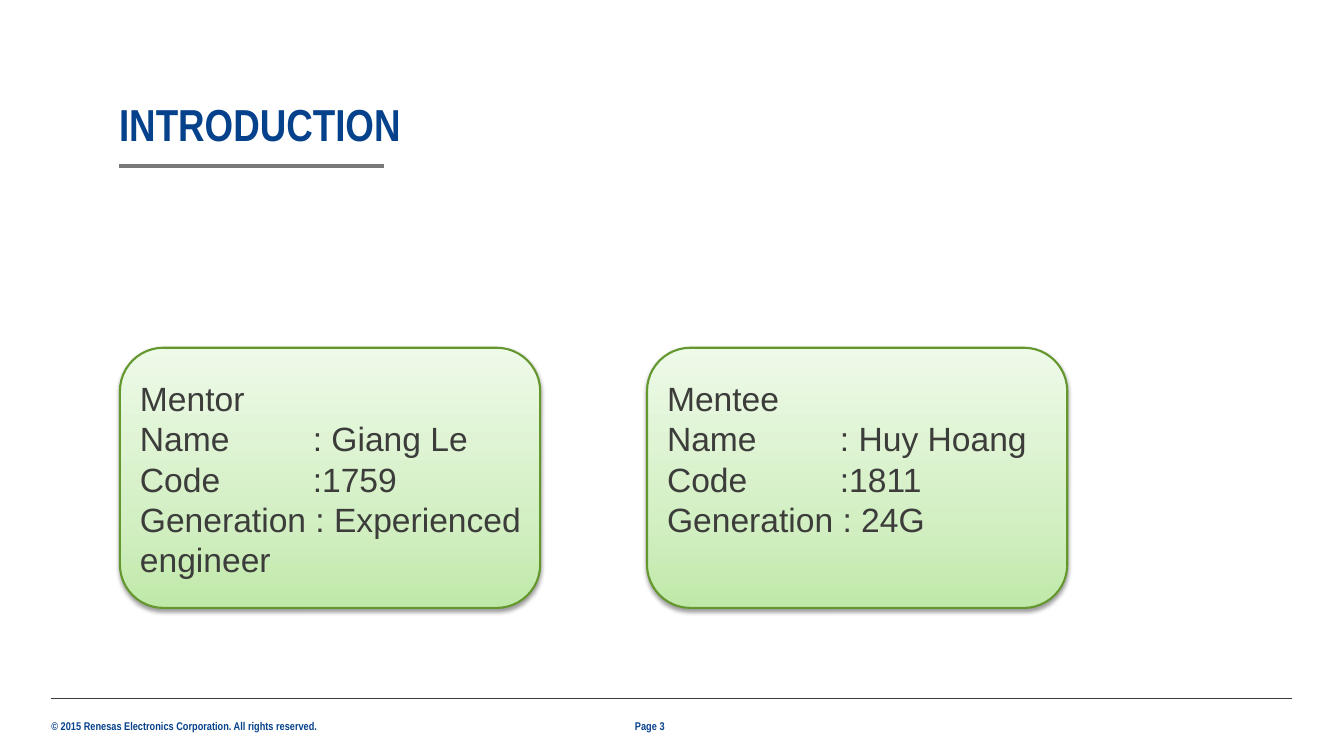
"""Build the introduction slide with its mentor and mentee cards."""
import copy
from dataclasses import dataclass

import lxml.etree
import pptx
import pptx.dml.color
import pptx.enum.shapes
import pptx.enum.text
import pptx.oxml
import pptx.oxml.ns
import pptx.util

Pt = pptx.util.Pt
qn = pptx.oxml.ns.qn
COLOURS = {
    "blue": "06418C", "text": "3C3C3B", "rule": "797979", "border": "64982F",
    "deep": "C0E9A9", "middle": "D3EFC4", "pale": "EEFAE8", "shadow": "000000",
}
GRADIENT = ((0, "deep"), (0.35, "middle"), (1, "pale"))
CARD_TOP, CARD_WIDTH, CARD_HEIGHT = 248.4, 300.2, 185.8
VALUE_TAB = 123.5


@dataclass
class Card:
    """A person's card with its lines of text."""
    left: float
    text_width: float
    text_height: float
    lines: tuple[str, ...]


@dataclass
class Rule:
    """A horizontal line."""
    left: float
    right: float
    top: float
    colour: str
    weight: float


@dataclass
class Footer:
    """A small text at the foot of the page."""
    left: float
    width: float
    text: str
    wrap: bool


CARDS = (
    Card(85.7, 293, 152.6, ("Mentor", "Name\t: Giang Le", "Code\t:1759",
                            "Generation : Experienced engineer")),
    Card(462.2, 280, 123.8, ("Mentee", "Name\t: Huy Hoang", "Code\t:1811",
                             "Generation : 24G")),
)
RULES = (Rule(36.7, 923, 499, "text", 0.5), Rule(85, 274.3, 118.8, "rule", 3))
FOOTERS = (
    Footer(36.7, 193, "© 2015 Renesas Electronics Corporation. All rights reserved.", False),
    Footer(453.6, 52.6, "Page 3", True),
)


def colour_of(name: str) -> pptx.dml.color.RGBColor:
    """Return the named colour."""
    return pptx.dml.color.RGBColor.from_string(COLOURS[name])


def write(frame, text: str, *, size: float, font: str, colour: str, bold: bool = False,
          margins: tuple[float, float] = (0, 0), wrap: bool = True, tab: float = 0,
          spacing: float = 1, anchor=pptx.enum.text.MSO_ANCHOR.TOP) -> None:
    """Fill a text frame with formatted left-aligned paragraphs."""
    frame.text = text
    frame.word_wrap = wrap
    frame.auto_size = pptx.enum.text.MSO_AUTO_SIZE.NONE
    frame.vertical_anchor = anchor
    frame.margin_left = frame.margin_right = Pt(margins[0])
    frame.margin_top = frame.margin_bottom = Pt(margins[1])
    for para in frame.paragraphs:
        para.alignment = pptx.enum.text.PP_ALIGN.LEFT
        para.line_spacing = spacing
        if tab:
            tabs = lxml.etree.SubElement(para._p.get_or_add_pPr(), qn("a:tabLst"))
            lxml.etree.SubElement(tabs, qn("a:tab"), pos=str(Pt(tab)), algn="l")
        for span in para.runs:
            span.font.size = Pt(size)
            span.font.name = font
            span.font.bold = bold
            span.font.color.rgb = colour_of(colour)


def draw_rule(page, rule: Rule) -> None:
    """Draw a horizontal rule."""
    line = page.shapes.add_connector(pptx.enum.shapes.MSO_CONNECTOR.STRAIGHT,
                                     Pt(rule.left), Pt(rule.top), Pt(rule.right), Pt(rule.top))
    line.line.color.rgb = colour_of(rule.colour)
    line.line.width = Pt(rule.weight)
    lxml.etree.SubElement(line.element.spPr, qn("a:effectLst"))


def add_shadow(box) -> None:
    """Give a shape a soft shadow below it."""
    box.shadow.inherit = False
    effects = box.element.spPr.find(qn("a:effectLst"))
    shadow = lxml.etree.SubElement(effects, qn("a:outerShdw"), blurRad=str(Pt(3.1)),
                                   dist=str(Pt(1.6)), dir="5400000", rotWithShape="0")
    tone = lxml.etree.SubElement(shadow, qn("a:srgbClr"), val=COLOURS["shadow"])
    lxml.etree.SubElement(tone, qn("a:alpha"), val="38000")


def draw_card(page, card: Card) -> None:
    """Draw a rounded card and its text."""
    box = page.shapes.add_shape(pptx.enum.shapes.MSO_SHAPE.ROUNDED_RECTANGLE, Pt(card.left),
                                Pt(CARD_TOP), Pt(CARD_WIDTH), Pt(CARD_HEIGHT))
    box.fill.gradient()
    box.fill.gradient_angle = 90
    stops = box.element.spPr.find(".//" + qn("a:gsLst"))
    stops.append(copy.deepcopy(stops[0]))
    for stop, (position, colour) in zip(box.fill.gradient_stops, GRADIENT):
        stop.position = position
        stop.color.rgb = colour_of(colour)
    box.line.color.rgb = colour_of("border")
    box.line.width = Pt(1.5)
    add_shadow(box)
    label = page.shapes.add_textbox(Pt(card.left + 7.2), Pt(CARD_TOP + 18),
                                    Pt(card.text_width), Pt(card.text_height))
    write(label.text_frame, "\n".join(card.lines), size=24, font="Arial", colour="text",
          margins=(7.2, 3.6), tab=VALUE_TAB)


def draw_footer(page, footer: Footer) -> None:
    """Draw a footer text."""
    box = page.shapes.add_textbox(Pt(footer.left), Pt(514), Pt(footer.width), Pt(9.4))
    write(box.text_frame, footer.text, size=8, font="Arial Narrow", colour="blue", bold=True,
          wrap=footer.wrap, anchor=pptx.enum.text.MSO_ANCHOR.MIDDLE)


def main() -> None:
    """Build and save the deck."""
    deck = pptx.Presentation()
    deck.slide_width, deck.slide_height = Pt(960), Pt(540)
    page = deck.slides.add_slide(deck.slide_layouts[5])
    for rule in RULES:
        draw_rule(page, rule)
    title = page.shapes.title
    title.left, title.top, title.width, title.height = Pt(85), Pt(73.4), Pt(708.5), Pt(34.6)
    write(title.text_frame, "INTRODUCTION", size=32, font="Arial Narrow", colour="blue",
          bold=True, spacing=0.9, anchor=pptx.enum.text.MSO_ANCHOR.BOTTOM)
    for footer in FOOTERS:
        draw_footer(page, footer)
    for card in CARDS:
        draw_card(page, card)
    deck.save("out.pptx")


if __name__ == "__main__":
    main()
